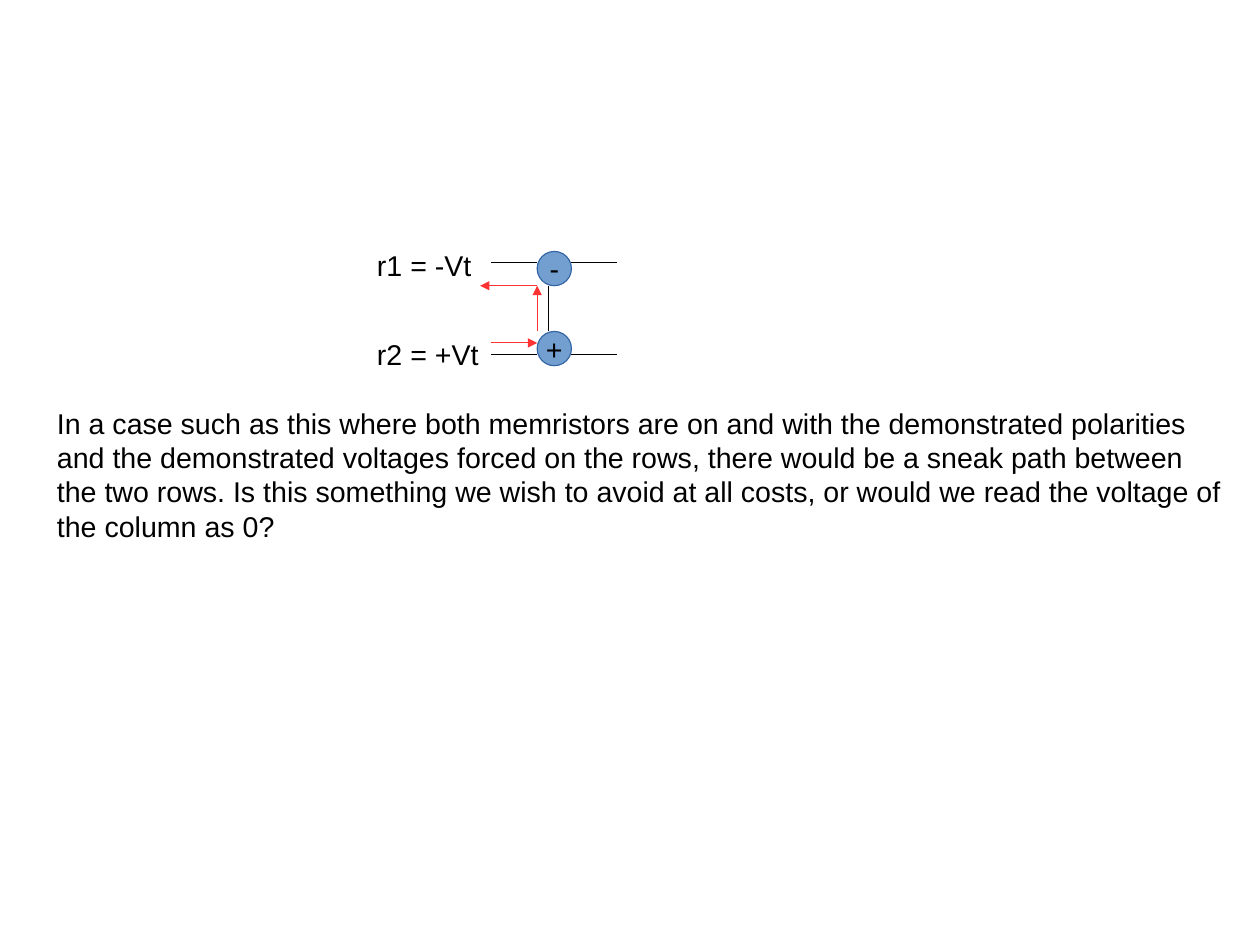
from lxml import etree
from pptx import Presentation
from pptx.dml.color import RGBColor
from pptx.enum import shapes, text
from pptx.oxml import ns
from pptx.util import Pt

STEP = 7.2  # grid of the circuit, in points
BLACK, RED = "000000", "FF3333"


def colour(hex_string):
    return RGBColor.from_string(hex_string)


def write(frame, words, size=18, font="Arial", fill=BLACK, wrap=True,
          align=text.PP_ALIGN.LEFT, anchor=text.MSO_ANCHOR.TOP):
    frame.word_wrap = wrap
    frame.vertical_anchor = anchor
    paragraph = frame.paragraphs[0]
    paragraph.alignment = align
    run = paragraph.add_run()
    run.text = words
    run.font.size = Pt(size)
    run.font.name = font
    run.font.color.rgb = colour(fill)


def add_label(slide, words, left, top, width, height):
    box = slide.shapes.add_textbox(Pt(left), Pt(top), Pt(width), Pt(height))
    write(box.text_frame, words)


def add_line(slide, start, end, stroke=BLACK, arrow=False):
    line = slide.shapes.add_connector(
        shapes.MSO_CONNECTOR.STRAIGHT, *(Pt(value) for value in start + end))
    line.line.color.rgb = colour(stroke)
    line.line.width = Pt(0.75)
    if arrow:
        outline = line.line._get_or_add_ln()
        etree.SubElement(outline, ns.qn("a:tailEnd"), type="triangle")
    etree.SubElement(line._element.spPr, ns.qn("a:effectLst"))


def add_memristor(slide, polarity, left, top, size):
    memristor = slide.shapes.add_shape(
        shapes.MSO_SHAPE.OVAL, Pt(left), Pt(top), Pt(size), Pt(size))
    memristor.shadow.inherit = False
    memristor.fill.solid()
    memristor.fill.fore_color.rgb = colour("729FCF")
    memristor.line.color.rgb = colour("3465A4")
    memristor.line.width = Pt(0.75)
    write(memristor.text_frame, polarity, wrap=False,
          align=text.PP_ALIGN.CENTER, anchor=text.MSO_ANCHOR.MIDDLE)


def add_circuit(slide, left, top):
    """Two rows joined by a column, with the sneak path in red."""
    def at(column, row):
        return left + column * STEP, top + row * STEP

    for polarity, row in (("+", 7), ("-", 0)):
        add_memristor(slide, polarity, *at(15, row), 3 * STEP)

    add_line(slide, at(16, 7), at(16, 3))
    for row in (1, 9):
        for outer, inner in ((22, 18), (15, 11)):
            add_line(slide, at(outer, row), at(inner, row))

    for words, row in (("r1 = -Vt", -0.8), ("r2 = +Vt", 7)):
        add_label(slide, words, *at(0, row), 13 * STEP, 3.8 * STEP)

    sneak_path = (((11, 8), (15, 8)), ((15, 7), (15, 3)), ((15, 3), (10, 3)))
    for start, end in sneak_path:
        add_line(slide, at(*start), at(*end), stroke=RED, arrow=True)


def main():
    deck = Presentation()
    deck.slide_width, deck.slide_height = Pt(793.7), Pt(595.28)
    slide = deck.slides.add_slide(deck.slide_layouts[6])
    add_circuit(slide, left=230.4, top=158.4)
    add_label(
        slide,
        "In a case such as this where both memristors are on and with the "
        "demonstrated polarities and the demonstrated voltages forced on the "
        "rows, there would be a sneak path between the two rows. Is this "
        "something we wish to avoid at all costs, or would we read the "
        "voltage of the column as 0?",
        left=28.8, top=252, width=748.8, height=87.84)
    deck.save("out.pptx")


if __name__ == "__main__":
    main()
